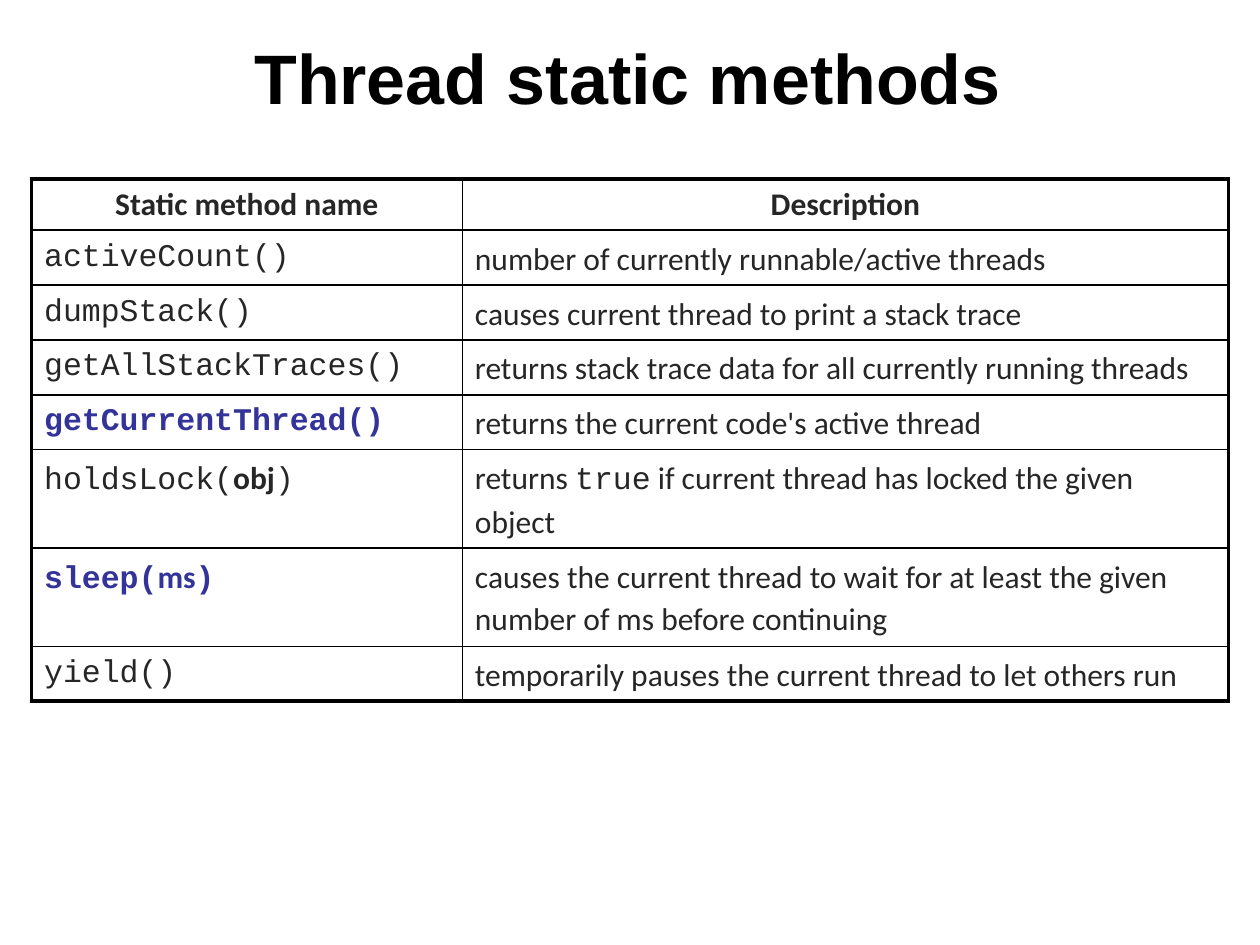
"""Build a slide with a table of static thread methods."""
import pptx
import pptx.util
import pptx.dml.color
import pptx.enum.text
import pptx.oxml
import pptx.oxml.ns

Inches, Pt = pptx.util.Inches, pptx.util.Pt
ALIGN = pptx.enum.text.PP_ALIGN
COLORS = {"black": "000000", "text": "262626", "key": "333399"}
SANS, MONO = "Calibri", "Courier New"

TITLE = "Thread static methods"
HEAD = ("Static method name", "Description")
# Each row: height, key method, name runs, description runs
ROWS = [
    (0.43, False, [("activeCount()", MONO)],
     [("number of currently runnable/active threads", SANS)]),
    (0.43, False, [("dumpStack()", MONO)],
     [("causes current thread to print a stack trace", SANS)]),
    (0.43, False, [("getAllStackTraces()", MONO)],
     [("returns stack trace data for all currently running threads", SANS)]),
    (0.43, True, [("getCurrentThread()", MONO)],
     [("returns the current code's active thread", SANS)]),
    (0.78, False, [("holdsLock(", MONO), ("obj", SANS), (")", MONO)],
     [("returns ", SANS), ("true", MONO),
      (" if current thread has locked the given object", SANS)]),
    (0.78, True, [("sleep(", MONO), ("ms", SANS), (")", MONO)],
     [("causes the current thread to wait for at least the given "
       "number of ms before continuing", SANS)]),
    (0.43, False, [("yield()", MONO)],
     [("temporarily pauses the current thread to let others run", SANS)]),
]
HEIGHTS = [0.4] + [row[0] for row in ROWS]
WIDTHS = (3.42, 6.08)


def style(run, font, size, color, bold):
    run.font.name = font
    run.font.size = Pt(size)
    run.font.bold = bold
    run.font.color.rgb = pptx.dml.color.RGBColor.from_string(COLORS[color])


def border(cell, edges):
    props = cell._tc.get_or_add_tcPr()
    for side, outer in edges.items():
        width = Pt(2.25 if outer else 1)
        props.append(pptx.oxml.parse_xml(
            f'<a:ln{side} {pptx.oxml.ns.nsdecls("a")} w="{width}"><a:solidFill>'
            f'<a:srgbClr val="{COLORS["black"]}"/></a:solidFill></a:ln{side}>'))


def write(cell, parts, color, bold):
    para = cell.text_frame.paragraphs[0]
    for text, font in parts:
        run = para.add_run()
        run.text = text
        style(run, font, 18, color, bold or text == "obj")
    return para


def main():
    deck = pptx.Presentation()
    deck.slide_width, deck.slide_height = Inches(10), Inches(7.5)
    slide = deck.slides.add_slide(deck.slide_layouts[5])

    title = slide.shapes.title
    title.left, title.top = Inches(0.19), Inches(0.11)
    title.width, title.height = Inches(9.58), Inches(0.99)
    title.text_frame.text = TITLE
    title.text_frame.vertical_anchor = pptx.enum.text.MSO_ANCHOR.MIDDLE
    para = title.text_frame.paragraphs[0]
    para.alignment = ALIGN.CENTER
    style(para.runs[0], "Arial", 40, "black", True)

    count = len(HEIGHTS)
    table = slide.shapes.add_table(
        count, 2, Inches(0.25), Inches(1.42),
        Inches(sum(WIDTHS)), Inches(sum(HEIGHTS))).table
    table.first_row = table.horz_banding = False
    for col, width in zip(table.columns, WIDTHS):
        col.width = Inches(width)
    for row, height in zip(table.rows, HEIGHTS):
        row.height = Inches(height)

    for r in range(count):
        for c in range(2):
            cell = table.cell(r, c)
            border(cell, {"L": c == 0, "R": c == 1,
                          "T": r == 0, "B": r == count - 1})
            cell.fill.background()
            if r == 0:
                para = write(cell, [(HEAD[c], SANS)], "text", True)
                para.alignment = ALIGN.CENTER
            else:
                key = ROWS[r - 1][1] and c == 0
                para = write(cell, ROWS[r - 1][2 + c],
                             "key" if key else "text", key)
                para.line_spacing = 1.1

    deck.save("out.pptx")


if __name__ == "__main__":
    main()
